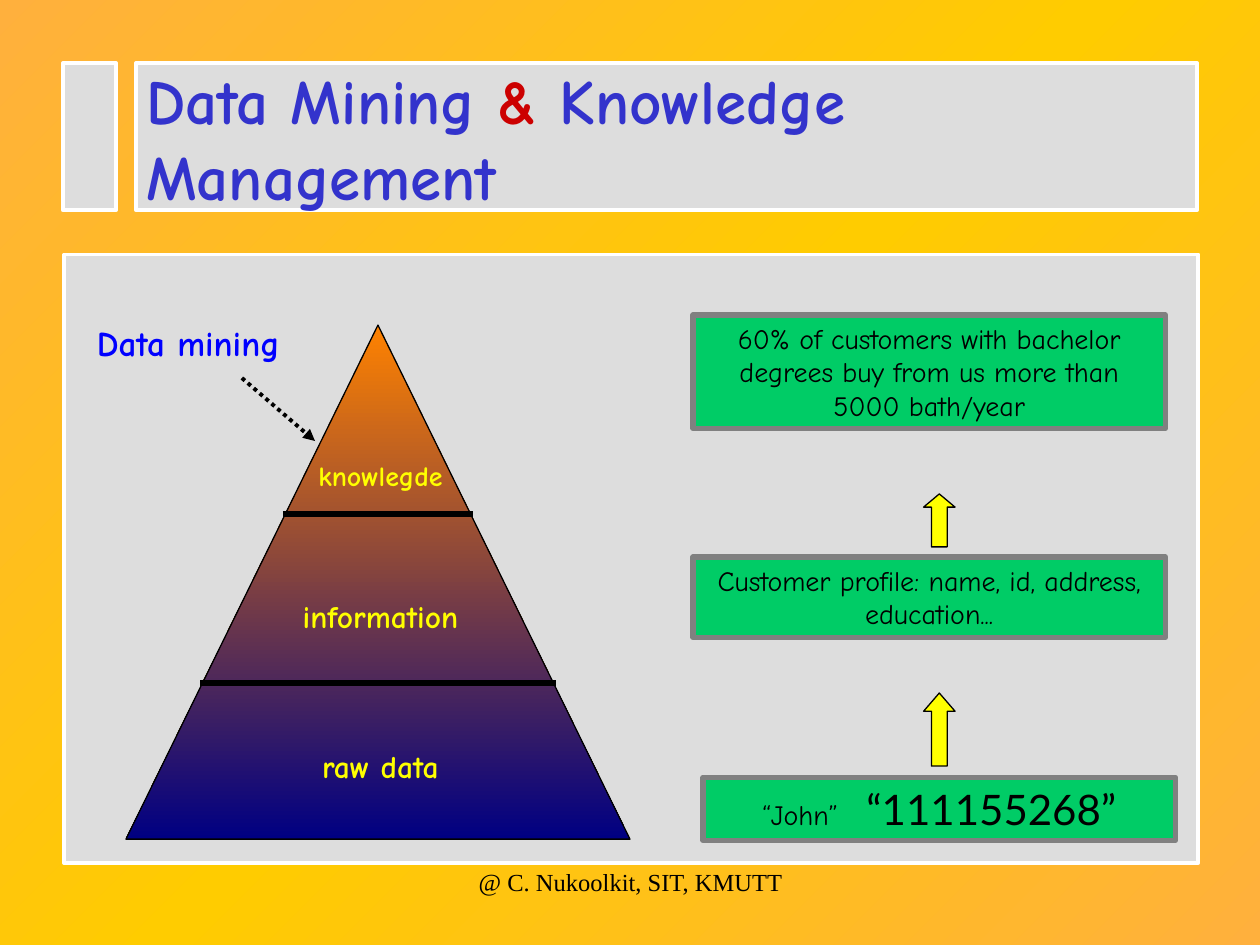
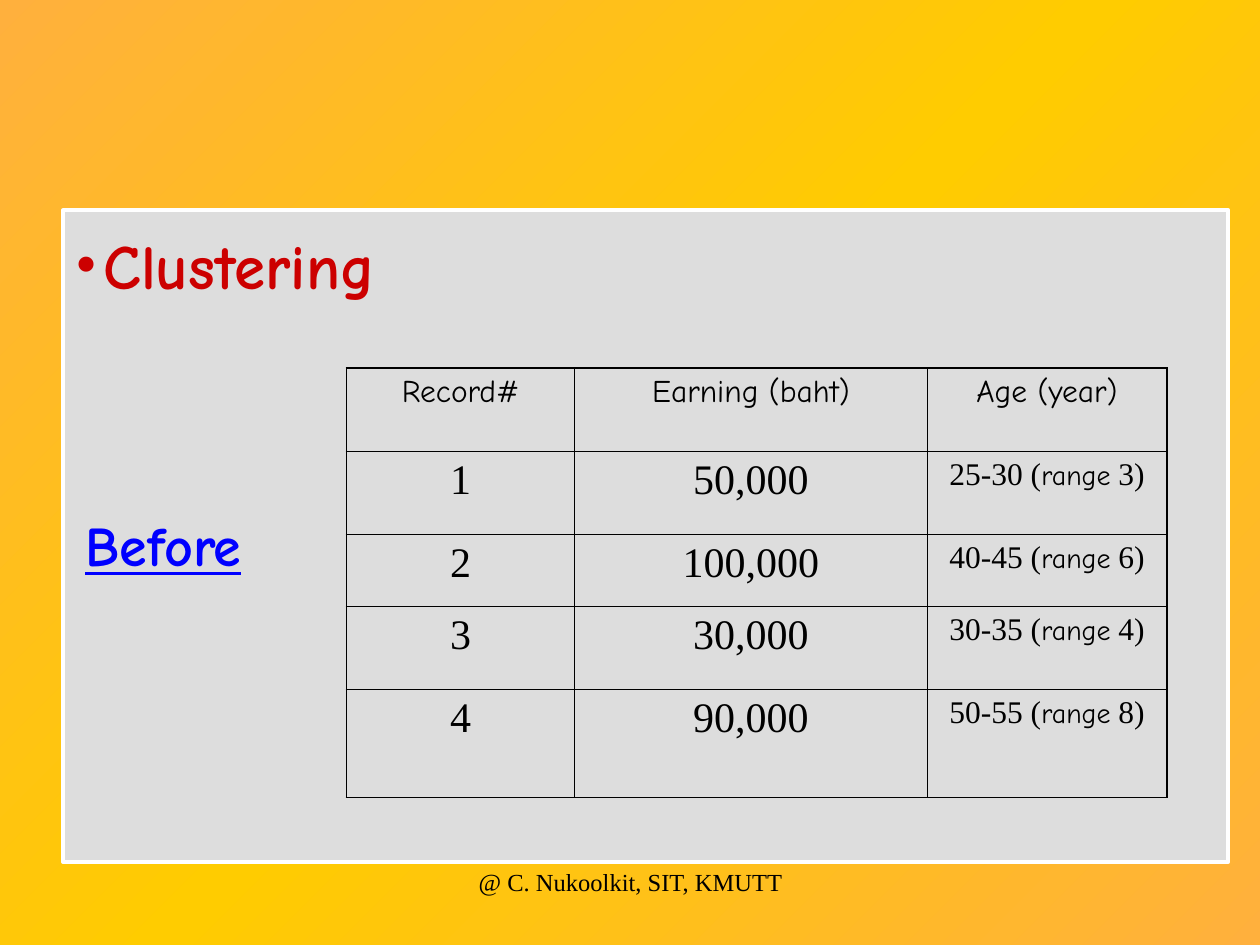
from lxml import etree
from pptx import Presentation
from pptx import util as u
from pptx.dml.color import RGBColor
from pptx.enum import dml, shapes, text
from pptx.oxml.ns import qn

WIDE, HIGH = 10, 7.5
LEFT, MID = text.PP_ALIGN.LEFT, text.PP_ALIGN.CENTER
COMIC, TIMES, LATO = "Comic Neue", "Times New Roman", "Lato"

THEME = {
    "panel": "DDDDDD", "edge": "FFFFFF", "ink": "000000",
    "box": "00CC66", "rim": "808080", "arrow": "FFFF00", "red": "CC0000",
    "back": ([(0, "FFB03D"), (50, "FFCC00"), (100, "FFB03D")], 225),
    "peak": ([(0, "FF8200"), (100, "000082")], 90),
    "type": {
        "title": (COMIC, 36, "3333CC", {"bold": True}),
        "mark": (COMIC, 36, "CC0000", {"bold": True}),
        "tier": (COMIC, 18, "FFFF00", {"bold": True}),
        "top": (COMIC, 16, "FFFF00", {"bold": True}),
        "call": (COMIC, 20, "0000FF", {"bold": True}),
        "stage": (COMIC, 32, "0000FF", {"bold": True, "underline": True}),
        "fact": (COMIC, 16, "000000", {}),
        "code": (LATO, 24, "000000", {}),
        "head": (COMIC, 18, "000000", {}),
        "num": (TIMES, 24, "000000", {}),
        "age": (TIMES, 18, "000000", {}),
        "foot": (TIMES, 14, "000000", {}),
    },
}

FOOT = "@ C. Nukoolkit, SIT, KMUTT"
HEAD = [("Data Mining ", "title"), ("&", "mark"), (" Knowledge Management", "title")]
PEAK = (1, 2.58, 4, 4.08)
CUTS = [4.08, 5.42]
TIERS = [
    ("knowlegde", "top", (2.32, 3.59, 1.4, 0.37)),
    ("information", "tier", (1.77, 4.69, 2.5, 0.4)),
    ("raw data", "tier", (1.77, 5.88, 2.5, 0.4)),
]
FACTS = [
    ([("60% of customers with bachelor degrees buy from us more than 5000 bath/year", "fact")],
     (5.5, 2.5, 3.75, 0.9)),
    ([("Customer profile: name, id, address, education...", "fact")],
     (5.5, 4.42, 3.75, 0.64)),
    ([("“John”", "fact"), (" ", "code"), ("“111155268”", "code")],
     (5.58, 6.17, 3.75, 0.5)),
]
RISES = [(3.92, 0.42), (5.5, 0.58)]

COLS = [1.81, 2.8, 1.9]
ROWS = [0.66, 0.66, 0.57, 0.66, 0.86]
NAMES = ["Record#", "Earning (baht)", "Age (year)"]
DATA = [
    ("1", "50,000", "25-30", 3),
    ("2", "100,000", "40-45", 6),
    ("3", "30,000", "30-35", 4),
    ("4", "90,000", "50-55", 8),
]


def inch(vals):
    return [u.Inches(v) for v in vals]


def rgb(code):
    return RGBColor.from_string(code)


def sub(node, tag, **attrs):
    return etree.SubElement(node, qn(tag), attrs)


def blend(fill, root, plan):
    stops, angle = plan
    fill.gradient()
    grad = root.find(".//" + qn("a:gradFill"))
    for kid in list(grad):
        grad.remove(kid)
    group = sub(grad, "a:gsLst")
    for pos, code in stops:
        stop = sub(group, "a:gs", pos=str(pos * 1000))
        sub(stop, "a:srgbClr", val=code)
    sub(grad, "a:lin", ang=str(angle * 60000), scaled="0")


def write(frame, runs, align=LEFT):
    fit = {"word_wrap": True, "auto_size": text.MSO_AUTO_SIZE.NONE,
           "vertical_anchor": text.MSO_ANCHOR.TOP}
    for key, val in fit.items():
        setattr(frame, key, val)
    fill_para(frame.paragraphs[0], runs, align)


def fill_para(para, runs, align):
    para.alignment = align
    for words, kind in runs:
        run = para.add_run()
        run.text = words
        name, size, code, more = THEME["type"][kind]
        for key, val in {"name": name, "size": u.Pt(size), **more}.items():
            setattr(run.font, key, val)
        run.font.color.rgb = rgb(code)


def label(slide, at, words, kind, align=LEFT):
    write(slide.shapes.add_textbox(*inch(at)).text_frame, [(words, kind)], align)


def block(slide, at, fill, edge, width, form=shapes.MSO_SHAPE.RECTANGLE):
    shape = slide.shapes.add_shape(form, *inch(at))
    shape.shadow.inherit = False
    if isinstance(fill, tuple):
        blend(shape.fill, shape._element, fill)
    else:
        shape.fill.solid()
        shape.fill.fore_color.rgb = rgb(fill)
    shape.line.color.rgb = rgb(edge)
    shape.line.width = u.Pt(width)
    return shape


def panel(slide, at):
    block(slide, at, THEME["panel"], THEME["edge"], 2.25)


def rule(slide, ends, width):
    line = slide.shapes.add_connector(shapes.MSO_CONNECTOR.STRAIGHT, *inch(ends))
    line.line.color.rgb = rgb(THEME["ink"])
    line.line.width = u.Pt(width)
    sub(line._element.spPr, "a:effectLst")
    return line


def title(slide, at, runs):
    box = slide.shapes.title
    box.left, box.top, box.width, box.height = inch(at)
    slide.shapes._spTree.append(box._element)
    write(box.text_frame, runs)
    return box.text_frame.paragraphs[0]


def start(deck, panels):
    slide = deck.slides.add_slide(deck.slide_layouts[5])
    for at in panels:
        panel(slide, at)
    label(slide, (3.42, 6.83, 3.17, 0.5), FOOT, "foot", MID)
    return slide


def pyramid(deck):
    slide = start(deck, [(1.08, 0.5, 8.42, 1.17), (0.51, 2.02, 9, 4.83), (0.5, 0.5, 0.42, 1.17)])
    title(slide, (1.06, 0.44, 8.5, 1.3), HEAD)
    ink = THEME["ink"]
    block(slide, PEAK, THEME["peak"], ink, 0.75, shapes.MSO_SHAPE.ISOSCELES_TRIANGLE)
    left, top, wide, high = PEAK
    for y in CUTS:
        half = wide / 2 * (y - top) / high + 0.02
        mid = left + wide / 2
        rule(slide, (mid - half, y, mid + half, y), 3)
    for words, kind, at in TIERS:
        label(slide, at, words, kind, MID)
    for runs, at in FACTS:
        box = block(slide, at, THEME["box"], THEME["rim"], 3)
        write(box.text_frame, runs, MID)
    gap = box.text_frame.paragraphs[0].runs[1]
    gap.font._element.set("spc", "1000")
    for y, tall in RISES:
        rise = block(slide, (7.33, y, 0.25, tall), THEME["arrow"], ink, 0.75,
                     shapes.MSO_SHAPE.UP_ARROW)
        rise.adjustments[0] = 0.5
        rise.adjustments[1] = tall
    label(slide, (0.67, 2.5, 2.5, 0.44), "Data mining", "call")
    link = rule(slide, (1.92, 3, 2.5, 3.5), 2.25)
    link.line.dash_style = dml.MSO_LINE.ROUND_DOT
    sub(link.line._get_or_add_ln(), "a:tailEnd", type="triangle")


def border(cell, row, col):
    props = cell._tc.get_or_add_tcPr()
    outer = [("L", col == 0), ("R", col == len(COLS) - 1),
             ("T", row == 0), ("B", row == len(ROWS) - 1)]
    for spot, (side, rim) in enumerate(outer):
        line = etree.Element(qn("a:ln" + side), w=str(u.Pt(1.08 if rim else 0.45)))
        sub(sub(line, "a:solidFill"), "a:srgbClr", val=THEME["ink"])
        props.insert(spot, line)


def cluster(deck):
    slide = start(deck, [(0.5, 1.67, 9.25, 5.17)])
    para = title(slide, (0.5, 1.75, 8.92, 0.8), [("Clustering", "mark")])
    props = para._p.get_or_add_pPr()
    hang = u.Inches(0.22)
    props.set("marL", str(hang))
    props.set("indent", str(-hang))
    sub(sub(props, "a:buClr"), "a:srgbClr", val=THEME["red"])
    sub(props, "a:buFont", typeface=TIMES)
    sub(props, "a:buChar", char="•")
    label(slide, (0.58, 4, 2.08, 0.64), "Before", "stage")

    grid = [[[(name, "head")] for name in NAMES]]
    for num, pay, age, span in DATA:
        grid.append([[(num, "num")], [(pay, "num")],
                     [(f"{age} (", "age"), ("range", "fact"), (f" {span})", "age")]])
    at = (2.75, 2.92, sum(COLS), sum(ROWS))
    table = slide.shapes.add_table(len(ROWS), len(COLS), *inch(at)).table
    table.first_row = table.horz_banding = False
    for col, wide in zip(table.columns, COLS):
        col.width = u.Inches(wide)
    for r, (row, tall) in enumerate(zip(table.rows, ROWS)):
        row.height = u.Inches(tall)
        for c, cell in enumerate(row.cells):
            cell.fill.background()
            border(cell, r, c)
            fill_para(cell.text_frame.paragraphs[0], grid[r][c], MID)


def main():
    deck = Presentation()
    deck.slide_width, deck.slide_height = inch((WIDE, HIGH))
    base = deck.slide_master
    blend(base.background.fill, base._element, THEME["back"])
    pyramid(deck)
    cluster(deck)
    deck.save("out.pptx")


if __name__ == "__main__":
    main()
